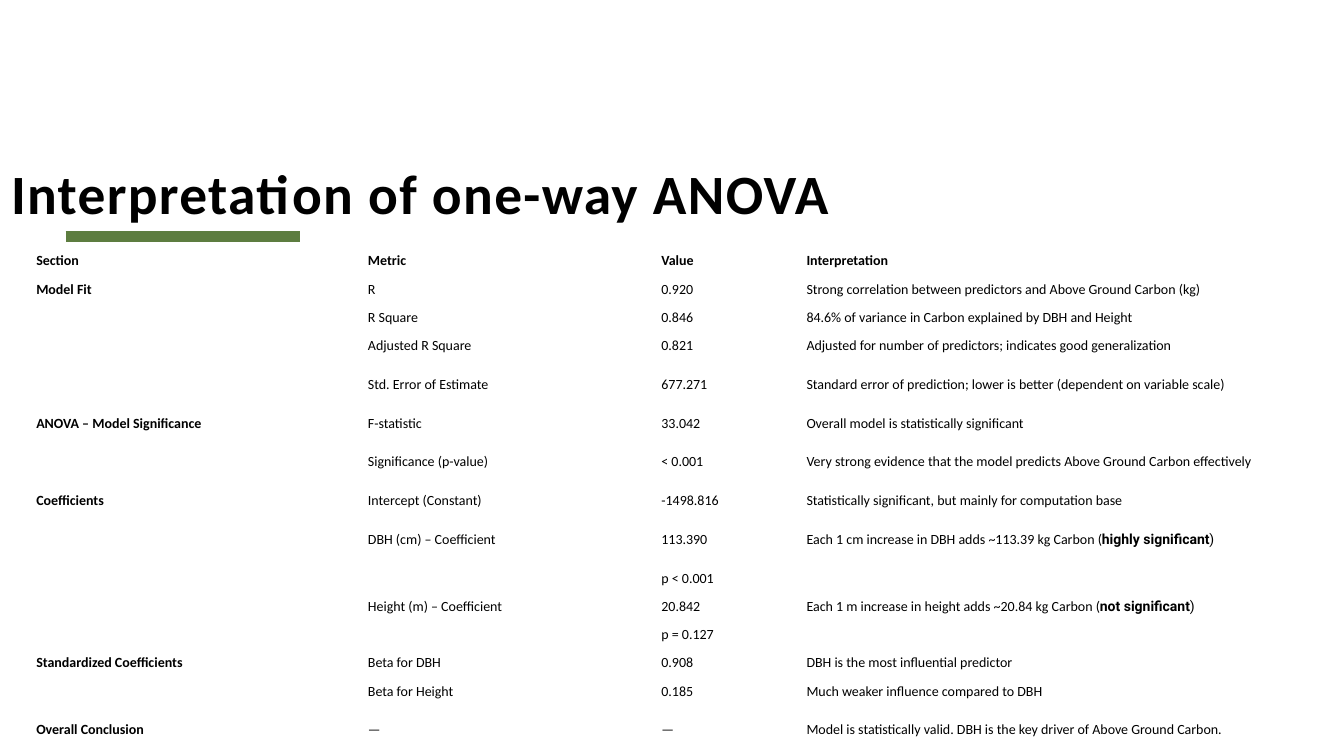
from pptx import Presentation
from pptx.dml.color import RGBColor
from pptx.enum.shapes import MSO_CONNECTOR
from pptx.enum.text import MSO_ANCHOR
from pptx.oxml.ns import qn
from pptx.util import Inches, Pt
from lxml.etree import SubElement

BLACK = RGBColor(0x00, 0x00, 0x00)
GREEN = RGBColor(0x5D, 0x7D, 0x40)

COLS = [3.29, 2.91, 1.44, 5.22]
LOW, TALL = 0.28, 0.49
TALL_ROWS = {4, 6, 8, 14}

# Text between asterisks is emphasised.
ROWS = [
    ("Section", "Metric", "Value", "Interpretation"),
    ("Model Fit", "R", "0.920",
     "Strong correlation between predictors and Above Ground Carbon (kg)"),
    ("", "R Square", "0.846",
     "84.6% of variance in Carbon explained by DBH and Height"),
    ("", "Adjusted R Square", "0.821",
     "Adjusted for number of predictors; indicates good generalization"),
    ("", "Std. Error of Estimate", "677.271",
     "Standard error of prediction; lower is better (dependent on variable scale)"),
    ("ANOVA – Model Significance", "F-statistic", "33.042",
     "Overall model is statistically significant"),
    ("", "Significance (p-value)", "< 0.001",
     "Very strong evidence that the model predicts Above Ground Carbon effectively"),
    ("Coefficients", "Intercept (Constant)", "-1498.816",
     "Statistically significant, but mainly for computation base"),
    ("", "DBH (cm) – Coefficient", "113.390",
     "Each 1 cm increase in DBH adds ~113.39 kg Carbon (*highly significant*)"),
    ("", "", "p < 0.001", ""),
    ("", "Height (m) – Coefficient", "20.842",
     "Each 1 m increase in height adds ~20.84 kg Carbon (*not significant*)"),
    ("", "", "p = 0.127", ""),
    ("Standardized Coefficients", "Beta for DBH", "0.908",
     "DBH is the most influential predictor"),
    ("", "Beta for Height", "0.185", "Much weaker influence compared to DBH"),
    ("Overall Conclusion", "—", "—",
     "Model is statistically valid. DBH is the key driver of Above Ground Carbon."),
]


def style(font, size, bold):
    font.name = "Calibri"
    font.size = Pt(size)
    font.bold = bold
    font.color.rgb = BLACK


def add_title(slide, left, top, width, height):
    """Place the heading with the green rule below it."""
    box = slide.shapes.add_textbox(
        Inches(left), Inches(top), Inches(width), Inches(height))
    frame = box.text_frame
    frame.word_wrap = True
    frame.vertical_anchor = MSO_ANCHOR.BOTTOM
    frame.margin_left = frame.margin_right = 0
    frame.margin_top = frame.margin_bottom = 0
    para = frame.paragraphs[0]
    para.line_spacing = 0.8
    run = para.add_run()
    run.text = "Interpretation of one-way ANOVA"
    style(para.font, 39.6, True)
    run.font._element.set("spc", "100")

    start, level = left + 0.54, top + height + 0.12
    rule = slide.shapes.add_connector(
        MSO_CONNECTOR.STRAIGHT, Inches(start), Inches(level),
        Inches(start + 2.33), Inches(level))
    rule.line.color.rgb = GREEN
    rule.line.width = Pt(8)
    SubElement(rule._element.spPr, qn("a:effectLst"))


def fill_cell(cell, text, bold):
    cell.fill.background()
    cell.vertical_anchor = MSO_ANCHOR.MIDDLE
    cell.margin_left = cell.margin_right = Inches(0.02)
    cell.margin_top = cell.margin_bottom = Inches(0.01)
    para = cell.text_frame.paragraphs[0]
    if not text:
        # The end mark sets the line height of an empty cell.
        SubElement(para._p, qn("a:endParaRPr"), sz="1000")
        return
    style(para.font, 10, bold)
    for i, part in enumerate(text.split("*")):
        run = para.add_run()
        run.text = part
        if i:
            run.font.name = "Roboto"
            run.font.bold = i == 1


def add_results(slide, left, top):
    heights = [TALL if r in TALL_ROWS else LOW for r in range(len(ROWS))]
    table = slide.shapes.add_table(
        len(ROWS), len(COLS), Inches(left), Inches(top),
        Inches(sum(COLS)), Inches(sum(heights))).table
    table.first_row = table.horz_banding = False
    for col, width in zip(table.columns, COLS):
        col.width = Inches(width)
    for r, (row, height) in enumerate(zip(table.rows, heights)):
        row.height = Inches(height)
        for c, text in enumerate(ROWS[r]):
            fill_cell(table.cell(r, c), text, r == 0 or c == 0)


def main():
    deck = Presentation()
    deck.slide_width, deck.slide_height = Inches(13.33), Inches(7.5)
    slide = deck.slides.add_slide(deck.slide_layouts[6])
    add_title(slide, 0.11, 1.5, 8.8, 0.73)
    add_results(slide, 0.34, 2.45)
    deck.save("out.pptx")


if __name__ == "__main__":
    main()
